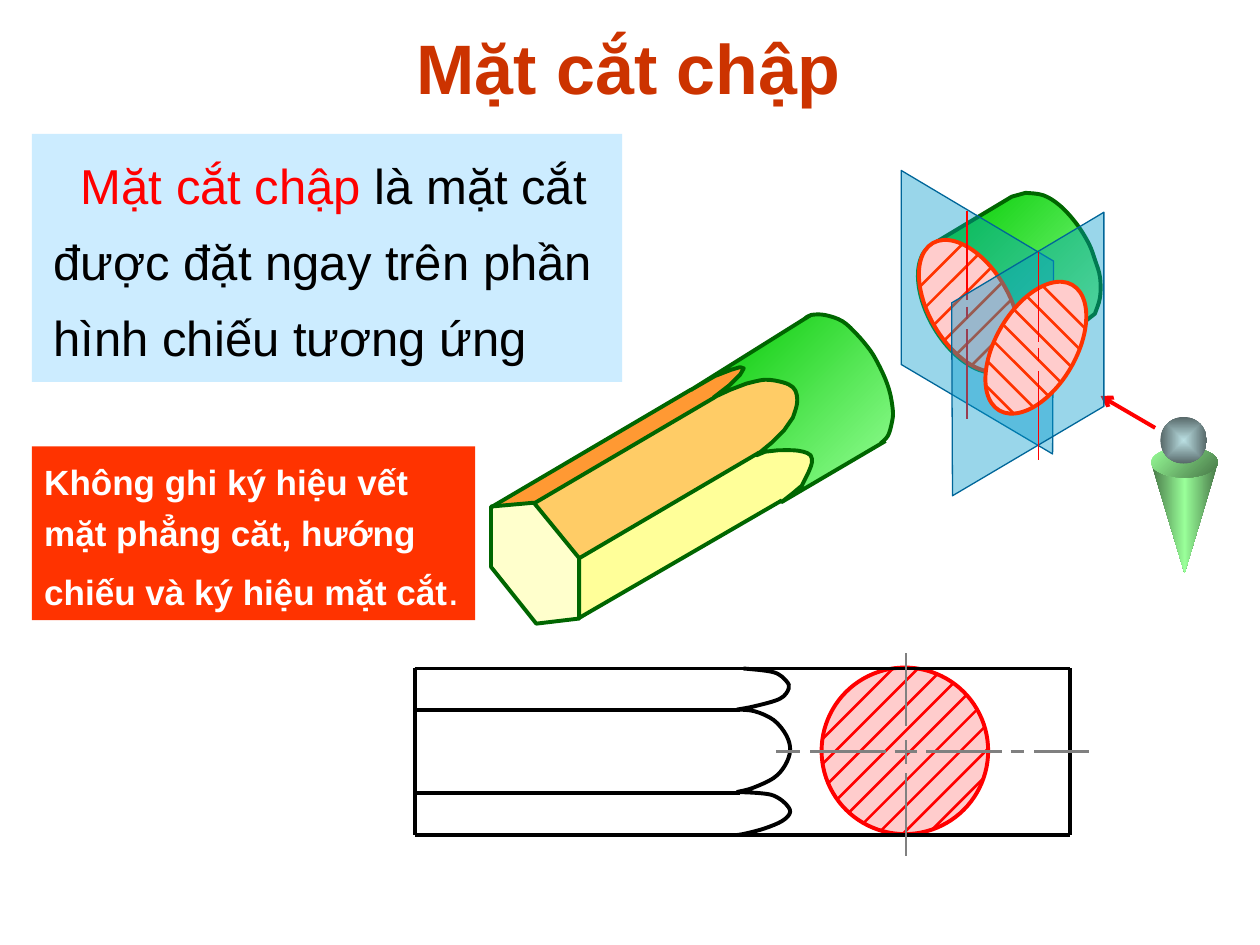
from math import cos, radians, sin, sqrt

from lxml.etree import SubElement
from pptx import Presentation
from pptx.dml.color import RGBColor
from pptx.enum.shapes import MSO_CONNECTOR, MSO_SHAPE
from pptx.enum.text import MSO_ANCHOR, PP_ALIGN
from pptx.oxml.ns import qn
from pptx.util import Pt

GREEN, ORANGE, RED, GREY = "006600", "FF3300", "FF0000", "808080"


def rgb(color):
    return RGBColor.from_string(color)


def gradient(shape, stops, angle=None):
    """Linear gradient, or one from the centre outwards when angle is None."""
    shape.fill.gradient()
    grad = shape._element.spPr.find(qn("a:gradFill"))
    for child in list(grad):
        grad.remove(child)
    gs_list = SubElement(grad, qn("a:gsLst"))
    for pos, color in stops:
        gs = SubElement(gs_list, qn("a:gs"), pos=str(pos * 1000))
        SubElement(gs, qn("a:srgbClr"), val=color)
    if angle is None:
        centre = SubElement(grad, qn("a:path"), path="shape")
        SubElement(centre, qn("a:fillToRect"), {side: "50000" for side in "ltrb"})
    else:
        SubElement(grad, qn("a:lin"), ang=str(angle * 60000), scaled="1")


def paint(shape, fill=None, line=None, width=2.25, alpha=None):
    shape.shadow.inherit = False
    if fill:
        shape.fill.solid()
        shape.fill.fore_color.rgb = rgb(fill)
        if alpha:
            clr = shape._element.spPr.find(qn("a:solidFill"))[0]
            SubElement(clr, qn("a:alpha"), val=str(alpha * 1000))
    else:
        shape.fill.background()
    if line:
        shape.line.color.rgb = rgb(line)
        shape.line.width = Pt(width)
    else:
        shape.line.fill.background()
    return shape


def add_preset(shapes, kind, x, y, w, h, rotation=0, **style):
    shape = shapes.add_shape(kind, Pt(x), Pt(y), Pt(w), Pt(h))
    shape.rotation = rotation
    return paint(shape, **style)


def add_line(shapes, x1, y1, x2, y2, color, width, arrow=False):
    cn = shapes.add_connector(MSO_CONNECTOR.STRAIGHT, Pt(x1), Pt(y1), Pt(x2), Pt(y2))
    cn.line.color.rgb = rgb(color)
    cn.line.width = Pt(width)
    if arrow:
        SubElement(cn.line._get_or_add_ln(), qn("a:tailEnd"), type="arrow")
    SubElement(cn._element.spPr, qn("a:effectLst"))


def add_outline(shapes, x, y, points, closed=False, **style):
    """Each point is (x, y), or six numbers for a Bézier segment."""
    ends = [(Pt(x + p[-2]), Pt(y + p[-1])) for p in points]
    builder = shapes.build_freeform(*ends[0])
    builder.add_line_segments(ends[1:], close=closed)
    shape = builder.convert_to_shape()
    for seg, p in zip(list(shape._element.spPr.iter(qn("a:lnTo"))), points[1:]):
        if len(p) == 6:
            seg.tag = qn("a:cubicBezTo")
            seg.remove(seg[0])
            for px, py in zip(p[::2], p[1::2]):
                SubElement(seg, qn("a:pt"), x=str(Pt(x + px) - shape.left),
                           y=str(Pt(y + py) - shape.top))
    return paint(shape, **style)


def smooth(points):
    """Bézier segments of a smooth curve through the points."""
    ext = [points[0], *points, points[-1]]
    return [points[0]] + [
        (b[0] + (c[0] - a[0]) / 6, b[1] + (c[1] - a[1]) / 6,
         c[0] - (d[0] - b[0]) / 6, c[1] - (d[1] - b[1]) / 6, *c)
        for a, b, c, d in zip(ext, ext[1:], ext[2:], ext[3:])]


def add_hatch(shapes, cx, cy, a, b, tilt, offsets, color, mirror=1):
    """45-degree chords of an ellipse with half axes a, b."""
    co, si = cos(radians(tilt)), sin(radians(tilt))
    for d in offsets:
        u0, v0 = d / 2 * (co + si) / a, d / 2 * (co - si) / b
        du, dv = (co - si) / a, -(co + si) / b
        qa, qb, qc = du ** 2 + dv ** 2, u0 * du + v0 * dv, u0 ** 2 + v0 ** 2 - 1
        root = sqrt(qb ** 2 - qa * qc)
        t1, t2 = (-qb - root) / qa, (-qb + root) / qa
        add_line(shapes, cx + mirror * (d / 2 + t1), cy + d / 2 - t1,
                 cx + mirror * (d / 2 + t2), cy + d / 2 - t2, color, 1.5)


def add_run(p, text, size=28, color="000000", bold=False):
    r = p.add_run()
    r.text = text
    r.font.name, r.font.size, r.font.bold = "Arial", Pt(size), bold
    r.font.color.rgb = rgb(color)


def title(s, x, y, w, h):
    sp = s.shapes.title
    sp.left, sp.top, sp.width, sp.height = Pt(x), Pt(y), Pt(w), Pt(h)
    sp.text_frame.vertical_anchor = MSO_ANCHOR.MIDDLE
    p = sp.text_frame.paragraphs[0]
    p.alignment = PP_ALIGN.CENTER
    add_run(p, "Mặt cắt chập", 40, "CC3300", True)


def definition(s, x, y, w, h):
    add_preset(s.shapes, MSO_SHAPE.RECTANGLE, x, y, w, h, fill="CCECFF")
    tf = s.shapes.add_textbox(Pt(x - 18), Pt(y - 1.5), Pt(w + 18), Pt(h - 4)).text_frame
    tf.word_wrap = True
    tf.margin_left = Pt(30.5)
    lines = [[("Mặt cắt chập", RED), (" là mặt cắt", "000000")],
             [("được đặt ngay trên phần", "000000")],
             [("hình chiếu tương ứng", "000000")]]
    for i, runs in enumerate(lines):
        p = tf.add_paragraph() if i else tf.paragraphs[0]
        p.line_spacing = 1.3
        for text, color in runs:
            add_run(p, text, color=color)
    tf.paragraphs[0]._p.get_or_add_pPr().set("indent", str(Pt(15.6)))


def note(s, x, y, w, h):
    sp = add_preset(s.shapes, MSO_SHAPE.RECTANGLE, x, y, w, h, fill=ORANGE)
    tf = sp.text_frame
    tf.word_wrap = True
    tf.vertical_anchor = MSO_ANCHOR.TOP
    p = tf.paragraphs[0]
    p.alignment, p.line_spacing = PP_ALIGN.LEFT, 1.2
    add_run(p, "Không ghi ký hiệu vết mặt phẳng căt, hướng chiếu và ký hiệu mặt cắt",
            20, "FFFFFF", True)
    add_run(p, ".", 24, "FFFFFF")


def cylinder(s, x, y, w, h):
    rim = [(90.7, 69.1), (93.6, 59.8), (93.6, 48.2), (90.7, 38.2), (87.1, 28.8),
           (79.9, 17.3), (70.6, 7.2), (61.2, 1.4), (51.1, 0)]
    body = [(40.3, h), (84.2, 74.2), *smooth(rim), (43.2, 2.2), (0, 28.1)]
    gradient(add_outline(s.shapes, x, y, body, line=GREEN),
             [(0, "00CC00"), (100, "99FF99")], 45)
    add_preset(s.shapes, MSO_SHAPE.OVAL, x - 5, y + 23.8, 46, 83, -30.2,
               fill="66FF33", line="008000", width=1.5)


def front_view(s, x, y, w, h):
    g = s.shapes.add_group_shape().shapes
    # Section circle
    r = h / 2
    add_preset(g, MSO_SHAPE.OVAL, x + 232.6, y - 0.5, h, h, fill="FFCCCC", line=RED)
    add_hatch(g, x + 232.6 + r, y - 0.5 + r, r, r, 0,
              [60.5 - 14.3 * i for i in range(9)], RED)
    # Frame and edges
    for i, length in ((0, w), (1, 186), (3, 186), (4, w)):
        add_line(g, x, y + i * h / 4, x + length, y + i * h / 4, "000000", 2.25)
    for dx in (0, w):
        add_line(g, x + dx, y, x + dx, y + h, "000000", 2.25)
    # Curved ends of the three faces
    ends = [[(187.9, 0), (205.2, 2.2), (212.4, 7.2), (213.8, 11.5), (208.8, 17.3),
             (194.4, 21.6), (184.3, 23.5)],
            [(184.3, 23.5), (194.4, 24.5), (205.2, 29.5), (212.4, 38.2), (214.6, 46.8),
             (211.7, 55.4), (205.2, 62.6), (193, 68.4), (184.3, 70.6)],
            [(184.3, 70.6), (197.3, 71.3), (205.2, 72.7), (211.7, 77), (214.6, 82.1),
             (210.2, 87.1), (200.2, 91.4), (189.4, 94.3), (184.3, h)]]
    curve = ends[0][:1] + [seg for end in ends for seg in smooth(end)[1:]]
    add_outline(g, x, y, curve, line="000000")
    # Centre lines
    for a, b in ((-8.6, 33.1), (41, 54.7), (59.8, 107.3)):
        add_line(g, x + 280.8, y + a, x + 280.8, y + b, GREY, 1.5)
    for a, b in ((206.6, 220.3), (226.1, 269.3), (274.3, 287.3),
                 (292.3, 335.5), (340.6, 348.5), (354.2, 385.2)):
        add_line(g, x + a, y + r, x + b, y + r, GREY, 1.5)


def cutting_plane(s, x, y, w, h, mirror=1):
    g = s.shapes.add_group_shape().shapes
    left = x if mirror == 1 else x + w
    plane = [(w - 0.5, h), (0, 110.9), (0, 0), (w, 51.8)]
    add_outline(g, left, y, [(mirror * px, py) for px, py in plane], closed=True,
                fill="0099CC", alpha=40, line="006699", width=0.75)
    # Hatched section
    cx, cy = left + mirror * 38.9, y + 77.4
    add_preset(g, MSO_SHAPE.OVAL, cx - 23, cy - 41.5, 46, 83, -30.2 * mirror,
               fill="FFCCCC", line=ORANGE)
    add_hatch(g, cx, cy, 23, 41.5, -30.2, [-39.2 + 14.9 * i for i in range(7)],
              ORANGE, mirror)
    # Axis
    ax = left + mirror * 37.4
    for a, b in ((23, 74.2), (77.8, 85), (90.7, 141.8)):
        add_line(g, ax, y + a, ax, y + b, RED, 1)


def observer(s, x, y, w, h):
    g = s.shapes.add_group_shape().shapes
    dark, light = "477647", "99FF99"
    body = add_preset(g, MSO_SHAPE.ISOSCELES_TRIANGLE, x, y + 25.9, w, h - 25.9, 180)
    gradient(body, [(0, dark), (50, light), (100, dark)], 0)
    gradient(add_preset(g, MSO_SHAPE.OVAL, x, y + 17.3, w, 17.3),
             [(0, light), (100, dark)], 45)
    gradient(add_preset(g, MSO_SHAPE.OVAL, x + 5.3, y, 26.6, 26.6),
             [(0, "BBE0E3"), (100, "576869")])
    add_line(g, x + 2.3, y + 6.2, x - 28.9, y - 12, RED, 2.25, arrow=True)


def pencil(s, x, y, w, h):
    g = s.shapes.add_group_shape().shapes
    # Faces
    faces = {
        "FF9933": [(25.2, 108), (143.3, 38.2), (146.2, 29.5), (139, 28.1),
                   (120.2, 38.9), (0.7, 109.4)],
        "FFCC66": [(50.4, 139.7), (171.4, 68.4), (177.1, 50.4), (176.4, 39.6),
                   (163.4, 36), (145.4, 37.4), (131.8, 44.6), (25.2, 108)],
        "FFFF99": [(50.4, 173.5), (179.3, 99.4), (186.5, 81.4), (179.3, 74.9),
                   (159.8, 75.6), (50.4, 140.4)]}
    for color, pts in faces.items():
        add_outline(g, x, y, pts, closed=True, fill=color)
    end = [(0, 144.7), (25.9, h), (50.4, 174.2), (50.4, 139.7), (24.5, 108), (0, 110.2)]
    add_outline(g, x, y, end, closed=True, fill="FFFFCC", line=GREEN)
    for x1, y1, x2, y2 in ((49.7, 174.2, 166.3, 106.6), (50.4, 139.7, 153.4, 79.2),
                           (25.2, 108, 128.2, 47.5), (0.7, 110.2, 114.5, 43.2)):
        add_line(g, x + x1, y + y1, x + x2, y + y2, GREEN, 2.25)
    # Round part: scalloped front and curved rear
    front = [(115.2, 42.5), (128.9, 34.6), (138.2, 31), (143.3, 29.5), (145.4, 30.2),
             (143.3, 33.8), (137.5, 39.6), (128.2, 46.8), (137.5, 42.5),
             *smooth([(146.9, 38.9), (157.7, 36.7), (167.8, 38.2), (173.5, 41),
                      (175.7, 45.4), (175.7, 51.1), (173.5, 58.3)]),
             (168.5, 65.5), (161.3, 72.7), (152.6, 79.9), (157.7, 77.8),
             *smooth([(164.9, 77), (173.5, 77), (179.3, 77.8), (183.6, 79.9),
                      (184.3, 84.2), (182.2, 90)]),
             (178.6, 97.2), (173.5, 101.5), (167, 106.6)]
    rear = [(179.3, 2.9), (182.9, 0.7), (190.8, 0.7), (200.9, 4.3), (209.5, 12.2),
            (216.7, 20.9), (221, 28.1), (225.4, 37.4), (228.2, 46.1), (w, 56.2),
            (229, 62.6), (226.8, 69.8), (222.5, 74.2)]
    gradient(add_outline(g, x, y, front + smooth(rear[::-1]), closed=True),
             [(0, "00C800"), (100, "99FF99")], 45)
    add_outline(g, x - 1, y + 1, [(183.2, 0), *front, (226.4, 71.7)], line=GREEN)
    add_outline(s.shapes, x, y, smooth(rear), line=GREEN)


def main():
    prs = Presentation()
    prs.slide_width, prs.slide_height = Pt(720), Pt(540)
    s = prs.slides.add_slide(prs.slide_layouts[5])
    cylinder(s, 535, 110.2, 94, 100.8)
    title(s, 35, 9, 648, 58)
    front_view(s, 236.9, 382, 374.5, 95.2)
    cutting_plane(s, 515, 97.4, 87, 162)
    observer(s, 657.8, 238.3, 38.2, 89.3)
    pencil(s, 280.6, 179.3, 229.7, 177.1)
    cutting_plane(s, 543.8, 121.3, 87, 162, mirror=-1)
    definition(s, 18.2, 76.5, 337.3, 141.8)
    note(s, 18.2, 255, 253.4, 99.4)
    prs.save("out.pptx")


if __name__ == "__main__":
    main()
